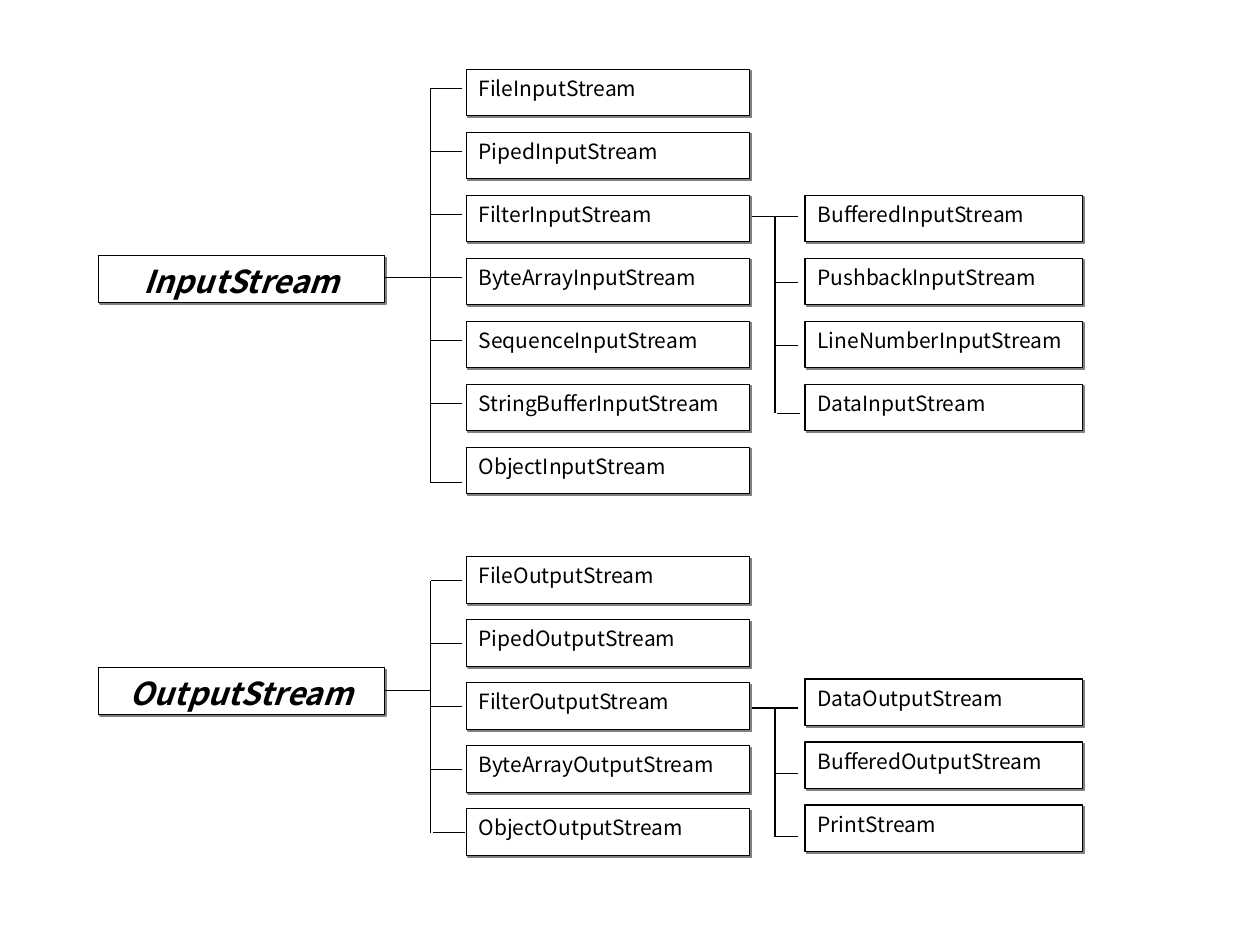
from dataclasses import dataclass

from lxml import etree
from pptx import Presentation
from pptx.dml.color import RGBColor
from pptx.enum.shapes import MSO_CONNECTOR, MSO_SHAPE
from pptx.enum.text import MSO_ANCHOR, PP_ALIGN
from pptx.oxml.ns import qn
from pptx.slide import Slide
from pptx.util import Pt

RECTANGLE = MSO_SHAPE.RECTANGLE
STRAIGHT = MSO_CONNECTOR.STRAIGHT
TOP = MSO_ANCHOR.TOP
CENTER = PP_ALIGN.CENTER
JUSTIFY = PP_ALIGN.JUSTIFY

COLORS = {"ink": "000000", "paper": "FFFFFF", "shadow": "808080"}
BASE_CLASS = {"size": Pt(18), "bold": True, "italic": True}
SUBCLASS = {"size": Pt(12), "bold": False, "italic": False}
FRAME = {
    "word_wrap": True,
    "vertical_anchor": TOP,
    "margin_left": Pt(7.2),
    "margin_right": Pt(7.2),
    "margin_top": Pt(3.6),
    "margin_bottom": Pt(3.6),
}
ROW_STEP = 36
BASE_COLUMN = (56.2, 163.4)
SUBCLASS_COLUMN = (266.4, 162)
FILTER_COLUMN = (460.1, 158.4)
SUBCLASS_TRUNK, SUBCLASS_TICK = 246.2, 18
FILTER_TRUNK, FILTER_TICK = 442.8, 13

HIERARCHIES = [
    {
        "base": ("InputStream", 146.2),
        "stem": 158.4,
        "subclasses": (39.6, [
            "FileInputStream", "PipedInputStream", "FilterInputStream",
            "ByteArrayInputStream", "SequenceInputStream",
            "StringBufferInputStream", "ObjectInputStream",
        ]),
        "ticks": [50.4 + ROW_STEP * row for row in range(6)] + [275.8],
        "last_shift": 0,
        "filters": (111.6, [
            "BufferedInputStream", "PushbackInputStream",
            "LineNumberInputStream", "DataInputStream",
        ]),
        "filter_ticks": [123.8, 161.3, 197.3, 236.2],
        "filter_last_shift": 1.4,
    },
    {
        "base": ("OutputStream", 381.6),
        "stem": 394.6,
        "subclasses": (318.2, [
            "FileOutputStream", "PipedOutputStream", "FilterOutputStream",
            "ByteArrayOutputStream", "ObjectOutputStream",
        ]),
        "ticks": [331.9 + ROW_STEP * row for row in range(5)],
        "last_shift": 1.4,
        "filters": (388.1, [
            "DataOutputStream", "BufferedOutputStream", "PrintStream",
        ]),
        "filter_ticks": [404.6, 442.1, 478.1],
        "filter_last_shift": 0,
    },
]


def set_all(target, values):
    """Set every attribute named in values on target."""
    for name, value in values.items():
        setattr(target, name, value)


@dataclass
class Diagram:
    """Draws class boxes and branches on one slide in a shared style."""

    slide: Slide
    font: str = "Noto Sans CJK KR"
    line_width: float = 0.75
    box_height: float = 26.6

    def color(self, name):
        """Return the named colour."""
        return RGBColor.from_string(COLORS[name])

    def outline(self, line):
        """Apply the common line style."""
        line.color.rgb = self.color("ink")
        line.width = Pt(self.line_width)

    def drop_shadow(self, box):
        """Give a box a hard shadow to the lower right."""
        box.shadow.inherit = False
        effects = box._element.spPr.find(qn("a:effectLst"))
        shadow = etree.SubElement(
            effects, qn("a:outerShdw"), dist=str(Pt(1.4)), dir="2700000",
            algn="ctr", rotWithShape="0")
        etree.SubElement(shadow, qn("a:srgbClr"), val=COLORS["shadow"])

    def class_box(self, name, column, top, style, alignment=JUSTIFY):
        """Draw one class as a labelled box."""
        left, width = column
        box = self.slide.shapes.add_shape(
            RECTANGLE, Pt(left), Pt(top), Pt(width), Pt(self.box_height))
        box.fill.solid()
        box.fill.fore_color.rgb = self.color("paper")
        self.outline(box.line)
        self.drop_shadow(box)
        set_all(box.text_frame, FRAME)
        paragraph = box.text_frame.paragraphs[0]
        paragraph.alignment = alignment
        label = paragraph.add_run()
        label.text = name
        set_all(label.font, {"name": self.font, **style})
        label.font.color.rgb = self.color("ink")

    def class_column(self, names, column, top):
        """Stack subclasses at the common row step."""
        for row, name in enumerate(names):
            self.class_box(name, column, top + ROW_STEP * row, SUBCLASS)

    def line(self, x1, y1, x2, y2):
        """Draw one straight line."""
        link = self.slide.shapes.add_connector(
            STRAIGHT, Pt(x1), Pt(y1), Pt(x2), Pt(y2))
        self.outline(link.line)
        etree.SubElement(link._element.spPr, qn("a:effectLst"))

    def branch(self, trunk, ticks, length, last_shift):
        """Draw a trunk with a tick to each subclass."""
        self.line(trunk, ticks[0], trunk, ticks[-1])
        for y in ticks:
            start = trunk + (last_shift if y == ticks[-1] else 0)
            self.line(start, y, start + length, y)

    def hierarchy(self, tree):
        """Draw a base class with both levels of subclasses."""
        name, top = tree["base"]
        self.class_box(name, BASE_COLUMN, top, BASE_CLASS, CENTER)
        for level, column in (("subclasses", SUBCLASS_COLUMN),
                              ("filters", FILTER_COLUMN)):
            top, names = tree[level]
            self.class_column(names, column, top)
        self.line(sum(BASE_COLUMN), tree["stem"], SUBCLASS_TRUNK, tree["stem"])
        self.branch(SUBCLASS_TRUNK, tree["ticks"], SUBCLASS_TICK,
                    tree["last_shift"])
        filter_stem = tree["filter_ticks"][0]
        self.line(429.8, filter_stem, FILTER_TRUNK, filter_stem)
        self.branch(FILTER_TRUNK, tree["filter_ticks"], FILTER_TICK,
                    tree["filter_last_shift"])


def main():
    """Build the stream class hierarchy slide."""
    deck = Presentation()
    set_all(deck, {"slide_width": Pt(720), "slide_height": Pt(540)})
    diagram = Diagram(deck.slides.add_slide(deck.slide_layouts[6]))
    for tree in HIERARCHIES:
        diagram.hierarchy(tree)
    deck.save("out.pptx")


if __name__ == "__main__":
    main()
